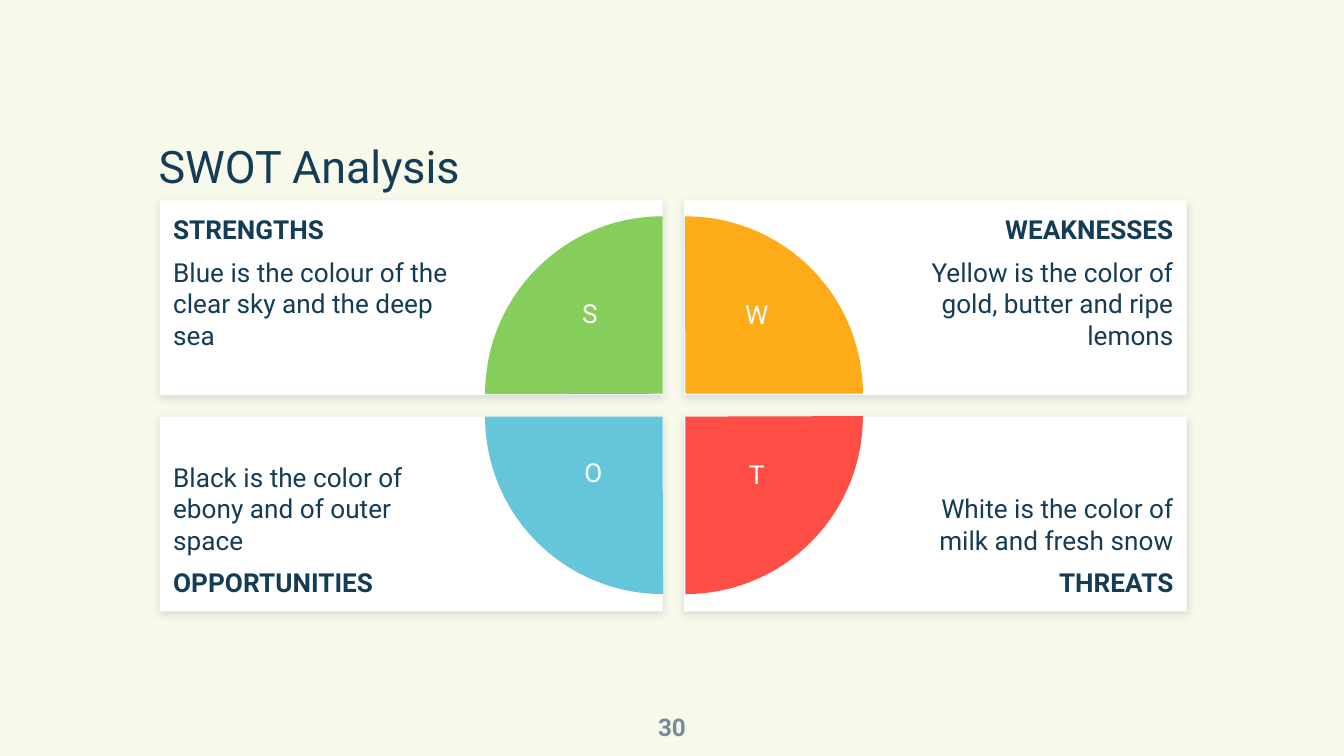
from dataclasses import dataclass

import lxml.etree
import pptx
import pptx.dml.color
import pptx.enum.shapes
import pptx.enum.text
import pptx.oxml.ns
import pptx.slide
import pptx.util

Inches = pptx.util.Inches
Pt = pptx.util.Pt
Align = pptx.enum.text.PP_ALIGN
Anchor = pptx.enum.text.MSO_ANCHOR
Shapes = pptx.enum.shapes.MSO_SHAPE


@dataclass(frozen=True)
class Theme:
    font: str = "Roboto"
    background: str = "F7F9EA"
    ink: str = "143C55"
    muted: str = "748C9C"
    white: str = "FFFFFF"
    title_size: float = 24
    body_size: float = 14
    number_size: float = 13


@dataclass(frozen=True)
class Quadrant:
    heading: str
    text: str
    letter: str
    letter_box: tuple[float, float, float, float]
    color: str
    column: int
    row: int
    rotation: int


THEME = Theme()
QUADRANTS = [
    Quadrant("STRENGTHS", "Blue is the colour of the clear sky and the deep sea",
             "S", (4.22, 2.16, 0.34, 0.48), "85CE5B", 0, 0, 0),
    Quadrant("WEAKNESSES", "Yellow is the color of gold, butter and ripe lemons",
             "W", (5.3, 2.17, 0.66, 0.47), "FEAB19", 1, 0, 90),
    Quadrant("OPPORTUNITIES", "Black is the color of ebony and of outer space",
             "O", (4.18, 3.35, 0.47, 0.48), "65C5DB", 0, 1, 270),
    Quadrant("THREATS", "White is the color of milk and fresh snow",
             "T", (5.43, 3.36, 0.4, 0.46), "FF4E45", 1, 1, 180),
]

# Card grid and the pies that meet at its centre
CARD_LEFT, CARD_TOP = 1.19, 1.49
CARD_WIDTH, CARD_HEIGHT = 3.74, 1.45
COLUMN_STEP, ROW_STEP = 3.9, 1.61
OUTER_INSET, INNER_INSET = 0.1, 1.52
PIE_LEFT, PIE_TOP, PIE_SIZE, PIE_GAP = 3.61, 1.61, 2.64, 0.17
PIE_START, PIE_END = 107.89, 162


def rgb(color: str) -> pptx.dml.color.RGBColor:
    return pptx.dml.color.RGBColor.from_string(color)


def write(frame, text: str, *, size: float = THEME.body_size, color: str = THEME.ink,
          bold: bool = False, align=Align.LEFT, before: float = 0, after: float = 0,
          line_spacing: float = 1.0) -> None:
    """Write one paragraph, filling the first one while it is still empty."""
    paragraph = frame.add_paragraph() if frame.text else frame.paragraphs[0]
    paragraph.alignment = align
    paragraph.space_before, paragraph.space_after = Pt(before), Pt(after)
    paragraph.line_spacing = line_spacing
    run = paragraph.add_run()
    run.text = text
    run.font.name = THEME.font
    run.font.size = Pt(size)
    run.font.bold = bold
    run.font.color.rgb = rgb(color)


def set_frame(frame, anchor, insets: tuple[float, float, float, float]) -> None:
    frame.word_wrap = True
    frame.vertical_anchor = anchor
    (frame.margin_left, frame.margin_top,
     frame.margin_right, frame.margin_bottom) = map(Inches, insets)


def add_label(slide: pptx.slide.Slide, box: tuple[float, float, float, float], text: str,
              anchor=Anchor.TOP, insets=(0, 0, 0, 0), **text_format) -> None:
    frame = slide.shapes.add_textbox(*map(Inches, box)).text_frame
    set_frame(frame, anchor, insets)
    write(frame, text, **text_format)


def add_filled(slide: pptx.slide.Slide, kind, box: tuple[float, float, float, float],
               color: str):
    shape = slide.shapes.add_shape(kind, *map(Inches, box))
    shape.shadow.inherit = False
    shape.fill.solid()
    shape.fill.fore_color.rgb = rgb(color)
    shape.line.fill.background()
    return shape


def add_soft_shadow(shape) -> None:
    qn = pptx.oxml.ns.qn
    effects = shape.element.spPr.find(qn("a:effectLst"))
    shadow = lxml.etree.SubElement(
        effects, qn("a:outerShdw"), blurRad=str(Pt(4.5)), dist=str(Pt(1.5)),
        dir="5400000", algn="bl", rotWithShape="0")
    color = lxml.etree.SubElement(shadow, qn("a:srgbClr"), val=THEME.ink)
    lxml.etree.SubElement(color, qn("a:alpha"), val="14000")


def add_card(slide: pptx.slide.Slide, quadrant: Quadrant) -> None:
    box = (CARD_LEFT + quadrant.column * COLUMN_STEP, CARD_TOP + quadrant.row * ROW_STEP,
           CARD_WIDTH, CARD_HEIGHT)
    card = add_filled(slide, Shapes.RECTANGLE, box, THEME.white)
    add_soft_shadow(card)
    on_right, at_bottom = quadrant.column == 1, quadrant.row == 1
    left, right = (INNER_INSET, OUTER_INSET) if on_right else (OUTER_INSET, INNER_INSET)
    set_frame(card.text_frame, Anchor.BOTTOM if at_bottom else Anchor.TOP,
              (left, OUTER_INSET, right, OUTER_INSET))
    # The heading sits on the outer edge of the card
    lines = [(quadrant.heading, True), (quadrant.text, False)]
    first, last = reversed(lines) if at_bottom else lines
    align = Align.RIGHT if on_right else Align.LEFT
    write(card.text_frame, first[0], bold=first[1], align=align)
    write(card.text_frame, last[0], bold=last[1], align=align, before=6, after=6)


def add_pie(slide: pptx.slide.Slide, quadrant: Quadrant) -> None:
    box = (PIE_LEFT + quadrant.column * PIE_GAP, PIE_TOP + quadrant.row * PIE_GAP,
           PIE_SIZE, PIE_SIZE)
    pie = add_filled(slide, Shapes.PIE, box, quadrant.color)
    pie.adjustments[0], pie.adjustments[1] = PIE_START, PIE_END
    pie.rotation = quadrant.rotation


def main() -> None:
    presentation = pptx.Presentation()
    # Widescreen, 16 to 9
    presentation.slide_width = Inches(10)
    presentation.slide_height = Inches(10 * 9 / 16)
    slide = presentation.slides.add_slide(presentation.slide_layouts[6])
    slide.background.fill.solid()
    slide.background.fill.fore_color.rgb = rgb(THEME.background)

    # Title and page number
    add_label(slide, (1.18, 1.07, 7.63, 0.37), "SWOT Analysis", Anchor.BOTTOM,
              size=THEME.title_size, line_spacing=0.9)
    add_label(slide, (4.7, 5.19, 0.6, 0.43), "30", Anchor.MIDDLE,
              size=THEME.number_size, color=THEME.muted, bold=True, align=Align.CENTER)

    # Cards, then pies, then letters on top
    for quadrant in QUADRANTS:
        add_card(slide, quadrant)
    for quadrant in QUADRANTS:
        add_pie(slide, quadrant)
    for quadrant in QUADRANTS:
        add_label(slide, quadrant.letter_box, quadrant.letter,
                  insets=(0.1, 0.05, 0.1, 0.05), color=THEME.white, align=Align.CENTER)

    presentation.save("out.pptx")


if __name__ == "__main__":
    main()
